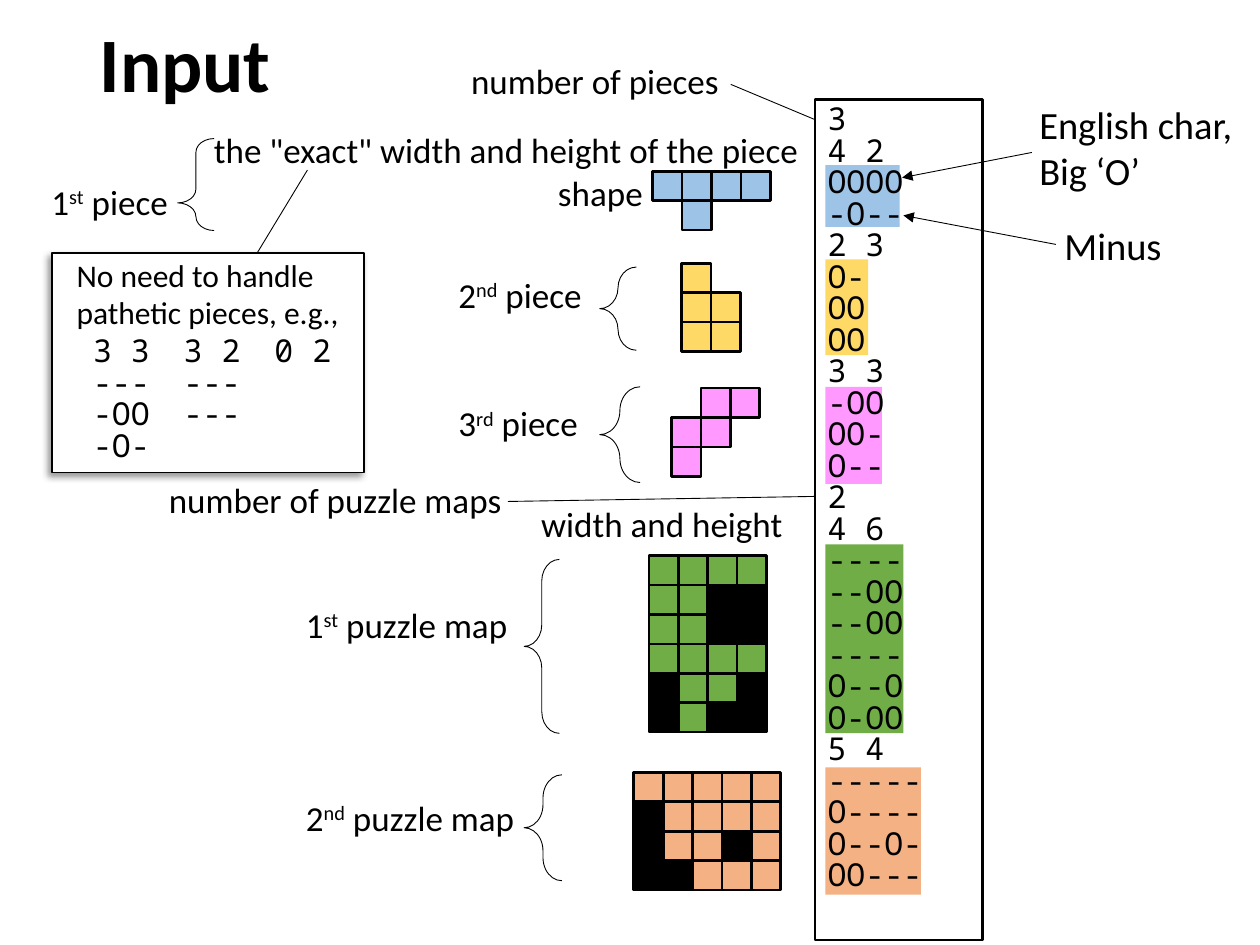
from dataclasses import dataclass

from lxml import etree
from pptx import Presentation
from pptx import util as u
from pptx.dml import color
from pptx.enum import shapes, text
from pptx.oxml import ns

In = u.Inches


@dataclass(frozen=True)
class Theme:
    """Colours, fonts and type sizes."""
    ink: str = "000000"
    paper: str = "FFFFFF"
    blue: str = "9DC3E6"
    gold: str = "FFD966"
    pink: str = "FF99FF"
    green: str = "70AD47"
    peach: str = "F4B183"
    sans: str = "Calibri"
    mono: str = "Noto Sans Mono"
    head: int = 44
    call: int = 22
    body: int = 20
    small: int = 18
    thin: float = 0.5
    mid: float = 1
    bold: float = 1.5


T = Theme()


@dataclass
class Block:
    """A piece or map: its rows, look, and offsets inside its box."""
    name: str
    rows: list
    fill: str
    box: tuple
    mark: float
    label: tuple
    brace: tuple
    grid: tuple
    solid: bool = False
    bend: float = 0.5

    @property
    def lines(self):
        """Give the size line and rows as they stand in the input."""
        return [f"{len(self.rows[0])} {len(self.rows)}", *self.rows]


PIECES = [
    Block("1^st^ piece", ["OOOO", "-O--"], T.blue, (0.31, 1.31, 6.83, 0.49), 0.59,
          (0, 0.07, 1.15), (1.1, -0.21, 0.29, 0.73), (4.87, 0.05), bend=0.7),
    Block("2^nd^ piece", ["O-", "OO", "OO"], T.gold, (3.54, 2.06, 3.35, 0.76), 0.34,
          (0, 0.06, 1.22), (1.22, 0.06, 0.29, 0.66), (1.87, 0.03)),
    Block("3^rd^ piece", ["-OO", "OO-", "O--"], T.pink, (3.54, 3.07, 3.46, 0.77), 0.45,
          (0, 0.07, 1.18), (1.22, 0, 0.32, 0.76), (1.79, 0.01)),
]
MAPS = [
    Block("1^st^ puzzle map", ["----", "--OO", "--OO", "----", "O--O", "O-OO"], T.green,
          (2.33, 4.32, 4.84, 1.5), 0.62, (0, 0.42, 1.83), (1.83, 0.12, 0.28, 1.38),
          (2.82, 0.09), solid=True),
    Block("2^nd^ puzzle map", ["-----", "O----", "O--O-", "OO---"], T.peach,
          (2.33, 6.09, 4.98, 1.01), 0.76, (0, 0.18, 1.89), (1.83, 0.06, 0.3, 0.84),
          (2.7, 0.04), solid=True),
]


def rgb(code):
    """Turn a hex code into a colour."""
    return color.RGBColor.from_string(code)


def shape(slide, kind, box, fill=None, line=None):
    """Add a preset shape with plain fill and line."""
    item = slide.shapes.add_shape(kind, *box)
    item.shadow.inherit = False
    if fill:
        item.fill.solid()
        item.fill.fore_color.rgb = rgb(fill)
    else:
        item.fill.background()
    if line:
        item.line.color.rgb = rgb(T.ink)
        item.line.width = u.Pt(line)
    else:
        item.line.fill.background()
    return item


def rect(slide, box, fill=None, line=None):
    """Add a rectangle."""
    return shape(slide, shapes.MSO_SHAPE.RECTANGLE, box, fill, line)


def write(slide, box, lines, size=T.body, font=T.sans, wrap=False, right=False, lead=None):
    """Add a text box, raising the parts held between carets."""
    item = slide.shapes.add_textbox(*map(In, box))
    frame = item.text_frame
    frame.word_wrap = wrap
    for i, line in enumerate(lines):
        par = frame.paragraphs[0] if i == 0 else frame.add_paragraph()
        par.font.size, par.font.name = u.Pt(size), font
        par.font.color.rgb = rgb(T.ink)
        par.alignment = text.PP_ALIGN.RIGHT if right else text.PP_ALIGN.LEFT
        if lead:
            par.line_spacing = u.Pt(lead)
        for n, part in enumerate(line.split("^")):
            run = par.add_run()
            run.text = part
            if n % 2:
                run._r.get_or_add_rPr().set("baseline", "30000")
    return item


def code(slide, box, lines):
    """Add lines of input text."""
    return write(slide, box, lines, T.small, T.mono, wrap=True, lead=18)


def link(slide, start, end, arrow=False):
    """Draw a thin line, with an arrowhead if asked."""
    item = slide.shapes.add_connector(
        shapes.MSO_CONNECTOR.STRAIGHT, *map(In, (*start, *end)))
    item.line.color.rgb = rgb(T.ink)
    item.line.width = u.Pt(T.thin)
    if arrow:
        etree.SubElement(item.line._get_or_add_ln(), ns.qn("a:tailEnd"), type="triangle")
    etree.SubElement(item._element.spPr, ns.qn("a:effectLst"))


def title(slide, box):
    """Set the title."""
    item = slide.shapes.title
    item.left, item.top, item.width, item.height = map(In, box)
    frame = item.text_frame
    frame.text = "Input"
    frame.vertical_anchor = text.MSO_ANCHOR.MIDDLE
    par = frame.paragraphs[0]
    par.alignment, par.line_spacing = text.PP_ALIGN.LEFT, 0.9
    par.font.size, par.font.name, par.font.bold = u.Pt(T.head), T.sans, True
    par.font.color.rgb = rgb(T.ink)


def grid(slide, left, top, block):
    """Draw the cells of a piece or map."""
    side = In(0.7) // 3
    fills = {"O": T.ink, "-": block.fill} if block.solid else {"O": block.fill}
    for r, row in enumerate(block.rows):
        for c, sign in enumerate(row):
            if sign in fills:
                spot = (In(left) + c * side, In(top) + r * side, side, side)
                rect(slide, spot, fills[sign], T.bold)


def draw(slide, block):
    """Place mark, label, brace and cells in the block's box."""
    x, y, w, h = block.box
    rect(slide, map(In, (x + w - block.mark, y, block.mark, h)), block.fill)
    dx, dy, wide = block.label
    write(slide, (x + dx, y + dy, wide, 0.44), [block.name])
    dx, dy, *size = block.brace
    brace = shape(slide, shapes.MSO_SHAPE.LEFT_BRACE,
                  map(In, (x + dx, y + dy, *size)), line=T.thin)
    brace.adjustments[0], brace.adjustments[1] = 0.61, block.bend
    grid(slide, x + block.grid[0], y + block.grid[1], block)


def listing(slide, box):
    """Write the whole input in a frame."""
    lines = []
    for group in (PIECES, MAPS):
        lines.append(str(len(group)))
        for block in group:
            lines += block.lines
    item = code(slide, box, lines)
    item.line.color.rgb = rgb(T.ink)
    item.line.width = u.Pt(T.bold)


def notes(slide, box):
    """Name the parts of the input to the left of the listing."""
    x, y, w, h = box
    write(slide, (x + 2.43, y, 3.13, 0.44), ["number of pieces"], wrap=True)
    write(slide, (x + 0.39, y + 0.55, 4.9, 0.44),
          ['the "exact" width and height of the piece'], wrap=True)
    write(slide, (x + 3.11, y + 0.89, 0.88, 0.44), ["shape"], right=True)
    write(slide, (x + 2.97, y + 3.52, 2.13, 0.44), ["width and height"], right=True)
    write(slide, (x, y + 3.33, 2.87, 0.44), ["number of puzzle maps"], right=True)
    link(slide, (x + 4.59, y + 0.25), (x + w, y + 0.53))
    link(slide, (x + 2.82, y + 3.56), (x + w, y + 3.52))


def signs(slide, box):
    """Explain the two signs to the right of the listing."""
    x, y, w, h = box
    write(slide, (x + 0.99, y, 1.79, 0.84), ["English char,", "Big ‘O’"], T.call, wrap=True)
    write(slide, (x + 1.19, y + 0.96, 1.46, 0.47), ["Minus"], T.call, wrap=True)
    link(slide, (x + 1.03, y + 0.46), (x, y + 0.66), True)
    link(slide, (x + 1.22, y + 1.19), (x + 0.01, y + 0.96), True)


def aside(slide, box):
    """Place the shadowed box of pieces that never occur."""
    x, y, w, h = box
    card = rect(slide, map(In, box), T.paper, T.mid)
    glow = etree.SubElement(
        card._element.spPr.find(ns.qn("a:effectLst")), ns.qn("a:outerShdw"),
        blurRad=str(u.Pt(4)), dist=str(u.Pt(3)), dir="8100000", algn="tr", rotWithShape="0")
    tint = etree.SubElement(glow, ns.qn("a:srgbClr"), val=T.ink)
    etree.SubElement(tint, ns.qn("a:alpha"), val="40000")
    write(slide, (x + 0.1, y - 0.03, 2.31, 0.71),
          ["No need to handle", "pathetic pieces, e.g.,"], T.small)
    cases = [["3 3", "---", "-OO", "-O-"], ["3 2", "---", "---"], ["0 2"]]
    for i, lines in enumerate(cases):
        code(slide, (x + 0.23 + i * 0.72, y + 0.62, 0.72, 0.11 + 0.25 * len(lines)), lines)
    link(slide, (x + 2.03, y - 0.66), (x + 1.63, y))


def main():
    """Build the slide."""
    deck = Presentation()
    deck.slide_width, deck.slide_height = In(10), In(7.5)
    slide = deck.slides.add_slide(deck.slide_layouts[5])
    title(slide, (0.69, 0.06, 8.62, 0.95))
    for block in PIECES + MAPS:
        draw(slide, block)
    listing(slide, (6.47, 0.79, 1.33, 6.67))
    notes(slide, (1.21, 0.42, 5.26, 3.96))
    signs(slide, (7.16, 0.75, 2.78, 1.43))
    aside(slide, (0.41, 2.01, 2.48, 1.74))
    deck.save("out.pptx")


if __name__ == "__main__":
    main()
